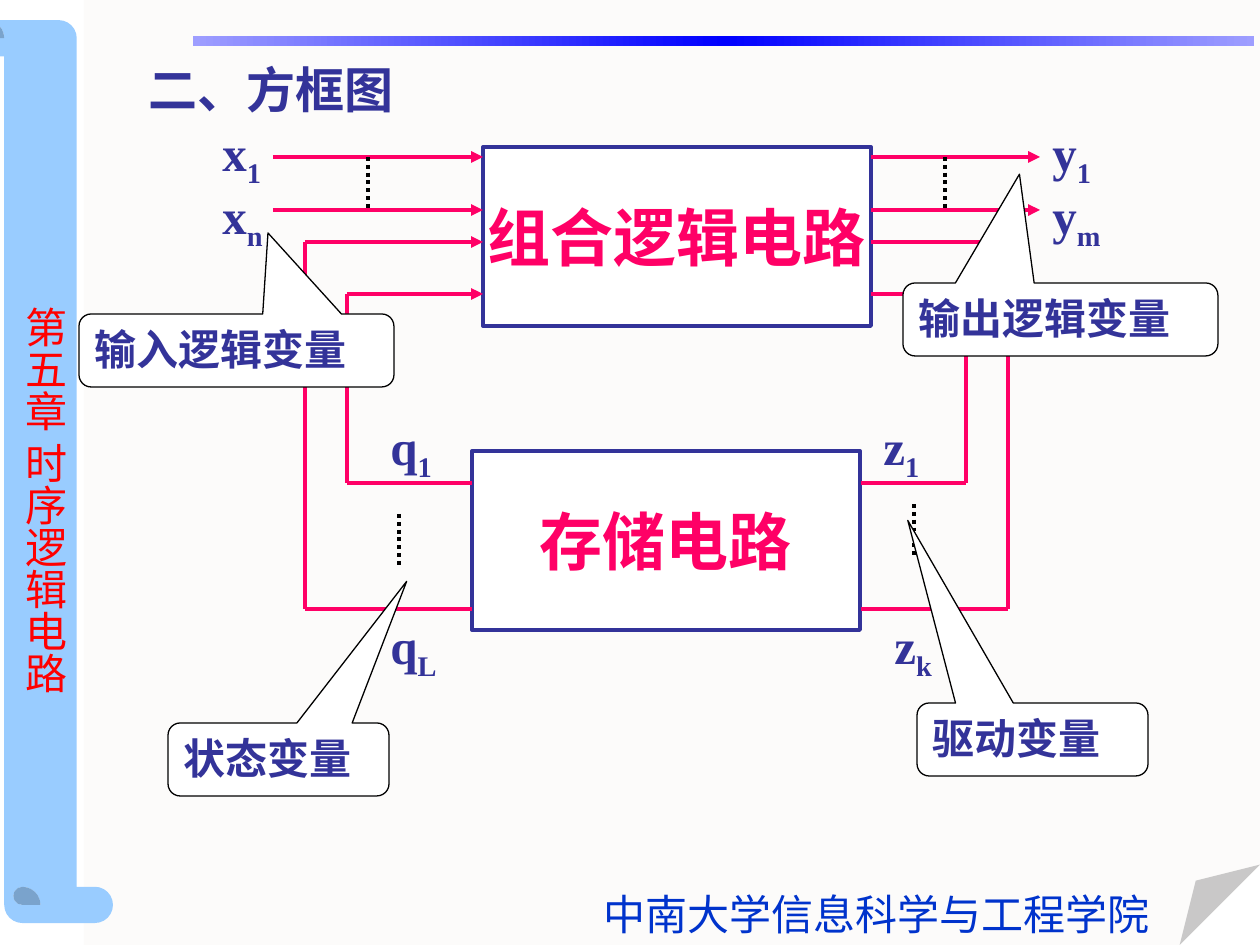
from copy import deepcopy

from lxml.etree import SubElement
from pptx import Presentation
from pptx.dml.color import RGBColor
from pptx.enum.dml import MSO_LINE
from pptx.enum.shapes import MSO_CONNECTOR, MSO_SHAPE
from pptx.enum.text import MSO_ANCHOR as ANCHOR, MSO_AUTO_SIZE as AUTO, PP_ALIGN as ALIGN
from pptx.oxml.ns import qn
from pptx.util import Pt

EMU_PER_PX = 914400 / 126
SERIF, SANS = "Times New Roman", "Noto Sans CJK SC"
COLORS = {
    name: RGBColor.from_string(value)
    for name, value in {
        "paper": "FCFBFA", "scroll": "99CCFF", "bar_end": "9E9EFF", "bar_mid": "0000FF",
        "school": "0033CC", "chapter": "FF0000", "navy": "333399", "pink": "FF0066",
        "white": "FFFFFF", "black": "000000",
    }.items()
}


def px(*values):
    return [round(value * EMU_PER_PX) for value in values]


def write(shape, text, size, color, face=SERIF, bold=True, align=ALIGN.LEFT,
          anchor=ANCHOR.TOP, wrap=True, fit=AUTO.NONE, subscript=""):
    frame = shape.text_frame
    frame.word_wrap, frame.auto_size, frame.vertical_anchor = wrap, fit, anchor
    line = frame.paragraphs[0]
    line.alignment = align
    line.font.size, line.font.bold, line.font.name = Pt(size), bold, face
    line.font.color.rgb = COLORS[color]
    SubElement(line.font._element, qn("a:ea")).set("typeface", SANS)
    line.add_run().text = text
    if subscript:
        index = line.add_run()
        index.text = subscript
        index.font._element.set("baseline", "-25000")


deck = Presentation()
deck.slide_width, deck.slide_height = px(1260, 945)
slide = deck.slides.add_slide(deck.slide_layouts[5])
shapes = slide.shapes

paper = shapes.add_shape(MSO_SHAPE.FOLDED_CORNER, *px(84, 0, 1176, 945))
fold = SubElement(paper._element.spPr.find(".//" + qn("a:avLst")), qn("a:gd"))
fold.set("name", "adj")
fold.set("fmla", "val 8500")
scroll = shapes.add_shape(MSO_SHAPE.HORIZONTAL_SCROLL, *px(-411, 399, 903, 145))
scroll.adjustments[0] = 0.25
scroll.rotation = 270
bar = shapes.add_shape(MSO_SHAPE.RECTANGLE, *px(193, 36, 1061, 10))
for backdrop, color in ((paper, "paper"), (scroll, "scroll")):
    backdrop.fill.solid()
    backdrop.fill.fore_color.rgb = COLORS[color]
bar.fill.gradient()
bar.fill.gradient_angle = 0
stop_list = bar._element.spPr.find(".//" + qn("a:gsLst"))
stop_list.insert(1, deepcopy(stop_list[0]))
for stop, position, color in zip(bar.fill.gradient_stops, (0, 0.5, 1), ("bar_end", "bar_mid", "bar_end")):
    stop.position = position
    stop.color.rgb = COLORS[color]
for backdrop in (paper, scroll, bar):
    backdrop.line.fill.background()
    backdrop.shadow.inherit = False

school = shapes.add_textbox(*px(591, 882, 571, 63))
write(school, "中南大学信息科学与工程学院", 24, "school", bold=False, wrap=False, fit=AUTO.SHAPE_TO_FIT_TEXT)
chapter = shapes.add_textbox(*px(0, 294, 76, 412))
write(chapter, "第五章 时序逻辑电路", 24, "chapter", SANS, False, wrap=False, fit=AUTO.SHAPE_TO_FIT_TEXT)
chapter.text_frame._txBody.bodyPr.set("vert", "eaVert")

title = shapes.title
title.left, title.top, title.width, title.height = px(136, 53, 462, 72)
write(title, "二、方框图", 28, "navy")
shapes._spTree.append(title._element)

for name, left, top in (("组合逻辑电路", 483, 147), ("存储电路", 472, 451)):
    circuit = shapes.add_shape(MSO_SHAPE.RECTANGLE, *px(left, top, 388, 179))
    circuit.shadow.inherit = False
    circuit.fill.solid()
    circuit.fill.fore_color.rgb = COLORS["white"]
    circuit.line.color.rgb = COLORS["navy"]
    circuit.line.width = Pt(2.25)
    write(circuit, name, 36, "pink", SANS, align=ALIGN.CENTER, anchor=ANCHOR.MIDDLE, wrap=False)

arrows = [
    (273, 157, 483, 157), (273, 210, 483, 210), (305, 242, 483, 242), (347, 294, 483, 294),
    (871, 157, 1040, 157), (871, 210, 1040, 210), (871, 242, 1008, 242), (871, 294, 966, 294),
]
wires = [
    (347, 294, 347, 483), (347, 483, 472, 483), (305, 242, 305, 609), (305, 609, 472, 609),
    (966, 294, 966, 483), (861, 483, 966, 483), (1008, 242, 1008, 609), (861, 609, 1008, 609),
]
ellipses = [(x, y, x, y + 53) for x, y in ((368, 157), (945, 157), (399, 514), (914, 504))]
for kind, ends in (("arrow", arrows), ("wire", wires), ("ellipsis", ellipses)):
    for end in ends:
        link = shapes.add_connector(MSO_CONNECTOR.STRAIGHT, *px(*end))
        link.line.width = Pt(2.25)
        link.line.color.rgb = COLORS["black" if kind == "ellipsis" else "pink"]
        if kind == "ellipsis":
            link.line.dash_style = MSO_LINE.ROUND_DOT
        if kind == "arrow":
            SubElement(link.line._get_or_add_ln(), qn("a:tailEnd")).set("type", "triangle")
        SubElement(link._element.spPr, qn("a:effectLst"))

for letter, index, left, top, width in (
    ("x", "1", 210, 116, 73), ("x", "n", 210, 179, 73),
    ("y", "1", 1040, 116, 84), ("y", "m", 1040, 179, 84),
    ("q", "1", 378, 410, 73), ("q", "L", 378, 609, 105),
    ("z", "1", 871, 410, 73), ("z", "k", 882, 609, 73),
):
    variable = shapes.add_textbox(*px(left, top, width, 72))
    write(variable, letter, 28, "navy", fit=AUTO.SHAPE_TO_FIT_TEXT, subscript=index)

for meaning, left, top, width, tip_x, tip_y in (
    ("输入逻辑变量", 79, 314, 315, 0.1, -1.61),
    ("输出逻辑变量", 903, 283, 315, -0.13, -1.99),
    ("驱动变量", 917, 703, 231, -0.54, -3),
    ("状态变量", 168, 723, 221, 0.58, -2.44),
):
    callout = shapes.add_shape(MSO_SHAPE.ROUNDED_RECTANGULAR_CALLOUT, *px(left, top, width, 73))
    callout.adjustments[0], callout.adjustments[1] = tip_x, tip_y
    callout.shadow.inherit = False
    callout.fill.solid()
    callout.fill.fore_color.rgb = COLORS["white"]
    callout.line.color.rgb = COLORS["black"]
    callout.line.width = Pt(0.75)
    write(callout, meaning, 24, "navy")

deck.save("out.pptx")
